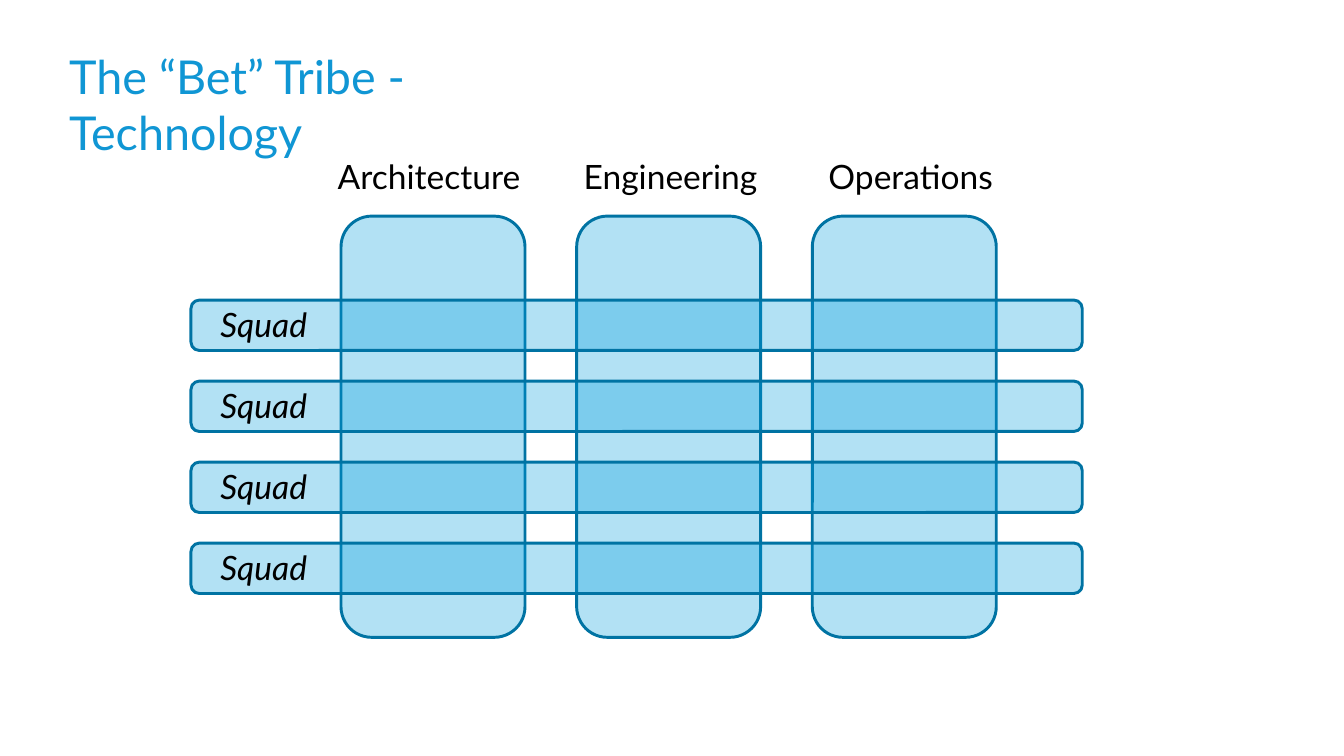
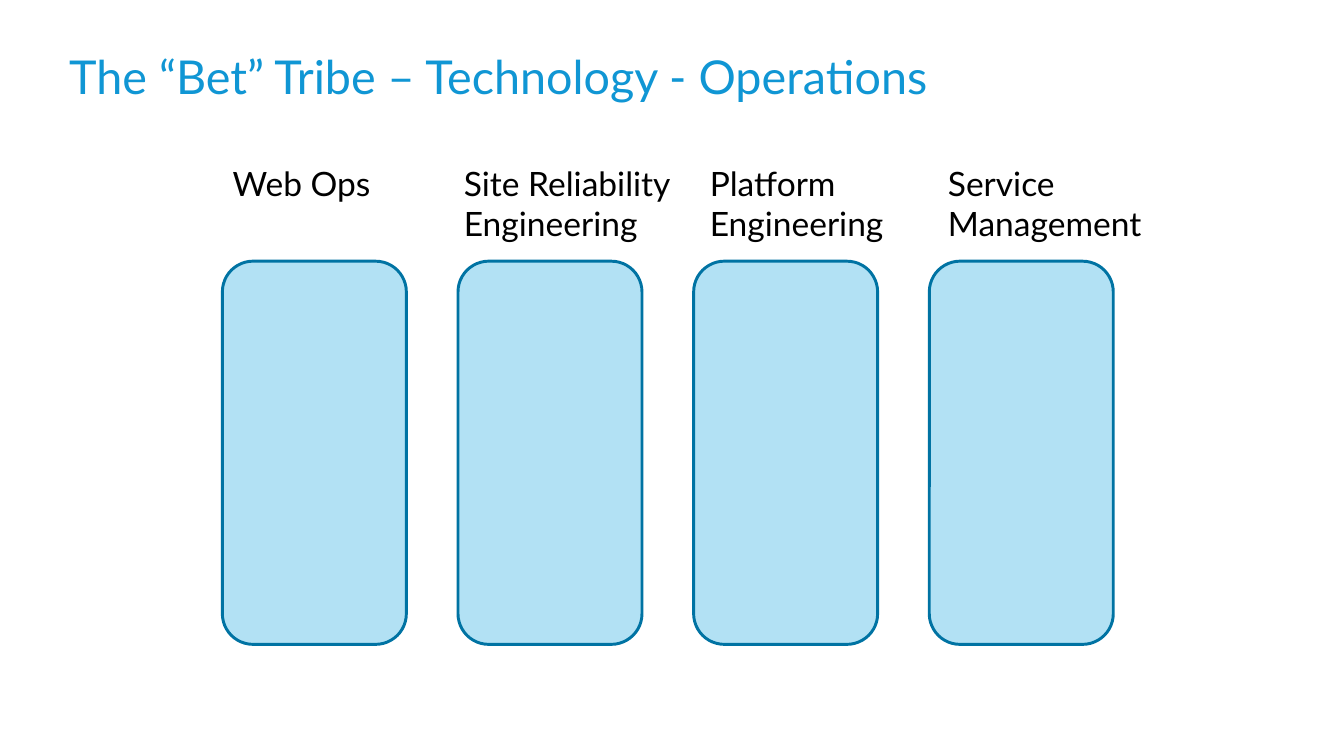
from lxml import etree
from pptx import Presentation
from pptx.dml.color import RGBColor
from pptx.enum import shapes, text
from pptx.oxml.ns import qn
from pptx.util import Cm, Pt

FONT = "Lato"
BLACK, TITLE_BLUE = "000000", "1096D4"
FILL_BLUE, LINE_BLUE = "009CDD", "0073A3"
FILL_OPACITY = 30
COLUMN_WIDTH, COLUMN_PITCH = 4.45, 5.7
SQUAD_TOP, SQUAD_PITCH, SQUAD_HEIGHT = 7.26, 1.96, 1.22


def color(value):
    return RGBColor.from_string(value)


class TribeDeck:
    def __init__(self):
        self.deck = Presentation()
        self.deck.slide_width, self.deck.slide_height = Cm(32.51), Cm(18.29)
        self.page = None

    def add_page(self, title, title_width):
        self.page = self.deck.slides.add_slide(self.deck.slide_layouts[5])
        box = self.page.shapes.title
        box.left, box.top = Cm(1.42), Cm(1.04)
        box.width, box.height = Cm(title_width), Cm(1.63)
        self.set_text(box.text_frame, title, 32, TITLE_BLUE)

    def set_text(self, frame, words, size, ink, italic=False):
        frame.word_wrap = True
        frame.auto_size = text.MSO_AUTO_SIZE.NONE
        frame.vertical_anchor = text.MSO_ANCHOR.TOP
        frame.text = words
        para = frame.paragraphs[0]
        para.alignment = text.PP_ALIGN.LEFT
        para.font.name, para.font.size = FONT, Pt(size)
        para.font.color.rgb = color(ink)
        para.font.italic = italic

    def label(self, words, left, top, width, height=1.24, italic=False):
        box = self.page.shapes.add_textbox(Cm(left), Cm(top), Cm(width), Cm(height))
        self.set_text(box.text_frame, words, 23, BLACK, italic)

    def panel(self, left, top, width, height):
        """Add a translucent rounded rectangle."""
        panel = self.page.shapes.add_shape(
            shapes.MSO_SHAPE.ROUNDED_RECTANGLE, Cm(left), Cm(top), Cm(width), Cm(height))
        panel.shadow.inherit = False
        panel.fill.solid()
        panel.fill.fore_color.rgb = color(FILL_BLUE)
        tint = panel.element.spPr.find(qn("a:solidFill"))[0]
        etree.SubElement(tint, qn("a:alpha"), val=str(FILL_OPACITY * 1000))
        panel.line.color.rgb = color(LINE_BLUE)
        panel.line.width = Pt(2)

    def columns(self, left, top, height, label_top, label_height, labels):
        """Add equally spaced panels, each with a (words, left, width) label above."""
        for index, (words, label_left, label_width) in enumerate(labels):
            self.panel(left + index * COLUMN_PITCH, top, COLUMN_WIDTH, height)
            self.label(words, label_left, label_top, label_width, label_height)

    def squads(self, count):
        for index in range(count):
            top = SQUAD_TOP + index * SQUAD_PITCH
            self.panel(4.62, top, 21.56, SQUAD_HEIGHT)
            self.label("Squad", 5.08, top - 0.04, 3.85, italic=True)


def main():
    tribe = TribeDeck()

    tribe.add_page("The “Bet” Tribe - Technology", 14.22)
    tribe.columns(8.25, 5.23, 10.19, 3.66, 1.24, [
        ("Architecture", 7.92, 5.94),
        ("Engineering", 13.87, 5.77),
        ("Operations", 19.79, 5.33),
    ])
    tribe.squads(4)

    tribe.add_page("The “Bet” Tribe – Technology - Operations", 24.13)
    tribe.columns(5.38, 6.32, 9.27, 3.81, 2.24, [
        ("Web Ops", 5.38, 5.1),
        ("Site Reliability Engineering", 10.97, 6.27),
        ("Platform Engineering", 16.92, 5.31),
        ("Service Management", 22.68, 6.22),
    ])

    tribe.deck.save("out.pptx")


if __name__ == "__main__":
    main()
